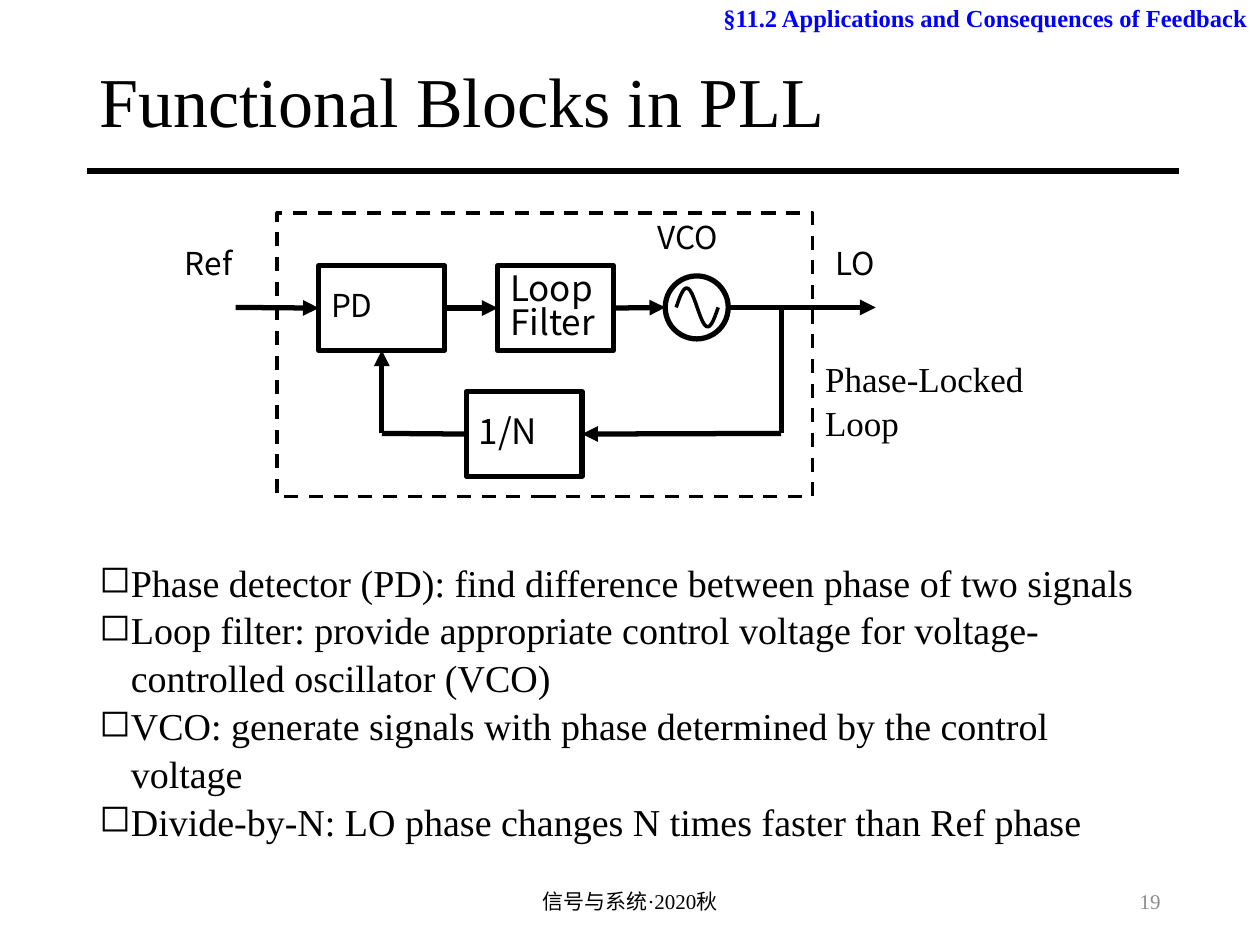
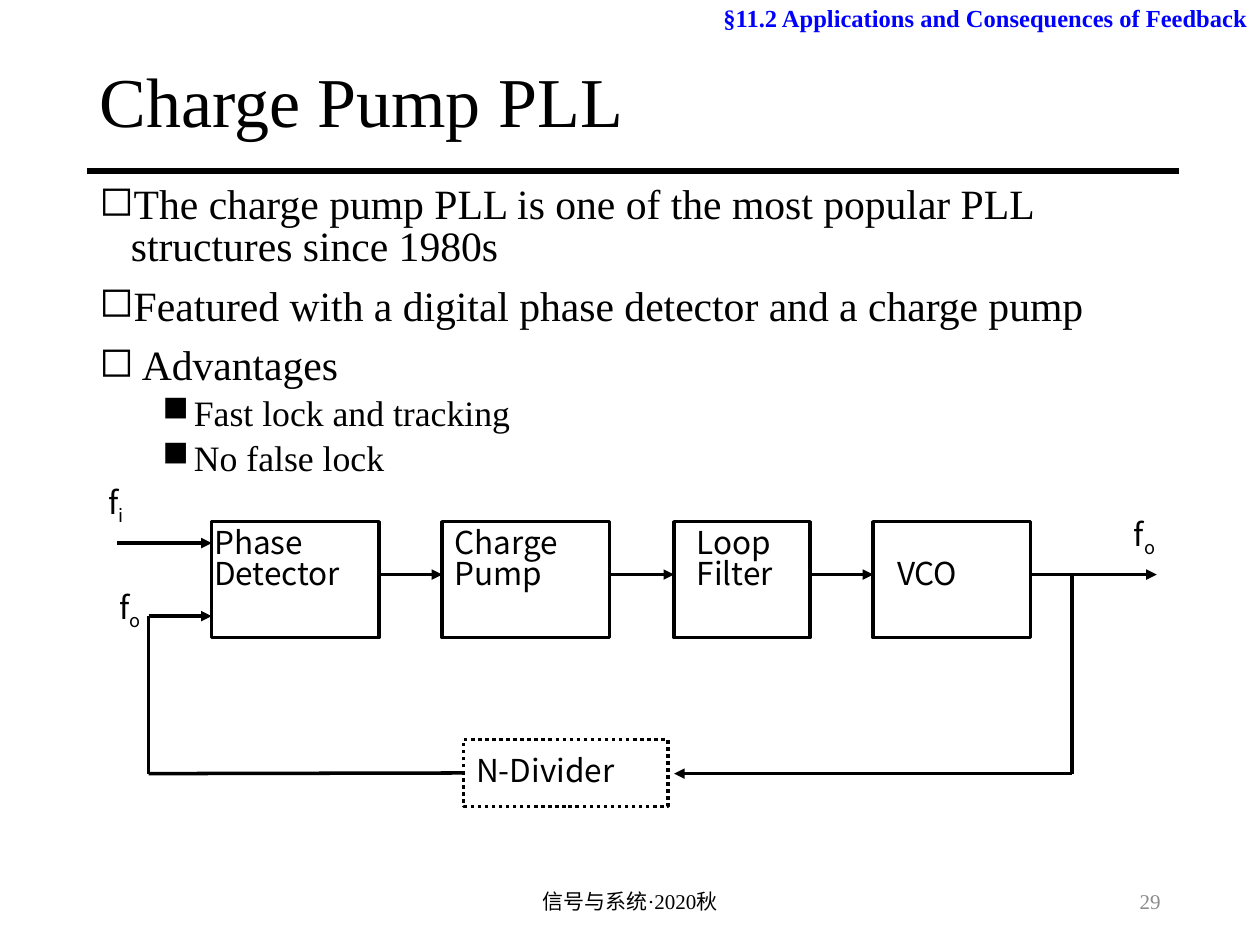
import math

import pptx
import pptx.dml.color
import pptx.enum.dml
import pptx.enum.shapes
import pptx.enum.text
import pptx.util
from lxml import etree
from pptx.oxml.ns import qn

COLOURS = {"ink": "000000", "section": "0000FF", "number": "8C8C8C"}
SERIF, SANS = "Times New Roman", "Noto Sans CJK SC"
CELL = 1 / 12  # grid step in inches
PAGE = (0, 0)
LEFT = 0.69
TOP, RIGHT_SIDE, BOTTOM, LEFT_SIDE = 0, 3, 2, 1
SHAPE = pptx.enum.shapes.MSO_SHAPE
DASH = pptx.enum.dml.MSO_LINE
ALIGN = pptx.enum.text.PP_ALIGN
ANCHOR = pptx.enum.text.MSO_ANCHOR
Inches, Pt = pptx.util.Inches, pptx.util.Pt
rgb = pptx.dml.color.RGBColor.from_string


def box(slide, origin, cells, lines=(), size=18, font=SANS, spacing=0.83, colour="ink",
        align=ALIGN.LEFT, anchor=ANCHOR.TOP, wrap=True, outline=0, kind=SHAPE.RECTANGLE, dash=None):
    """Place text, outlined when a line width is given; cells are column, row, columns, rows."""
    col, row, cols, rows = cells
    place = [Inches(round(v, 2)) for v in (origin[0] + col * CELL, origin[1] + row * CELL,
                                           cols * CELL, rows * CELL)]
    if outline:
        item = slide.shapes.add_shape(kind, *place)
        item.shadow.inherit = False
        item.fill.background()
        item.line.color.rgb = rgb(COLOURS["ink"])
        item.line.width = Pt(outline)
        if dash:
            item.line.dash_style = dash
    else:
        item = slide.shapes.add_textbox(*place)
    frame = item.text_frame
    frame.word_wrap = wrap
    frame.vertical_anchor = anchor
    frame.text = "\n".join(lines)
    for paragraph in frame.paragraphs:
        paragraph.alignment = align
        paragraph.line_spacing = spacing
        paragraph.font.size = Pt(size)
        paragraph.font.name = font
        paragraph.font.color.rgb = rgb(COLOURS[colour])
    return item


def wire(slide, origin, start, end, width, arrow=False, source=None, target=None):
    """Draw a line between two grid points; source and target are (box, side)."""
    ends = [Inches(round(origin[i] + point[i] * CELL, 2)) for point in (start, end) for i in (0, 1)]
    line = slide.shapes.add_connector(pptx.enum.shapes.MSO_CONNECTOR.STRAIGHT, *ends)
    if source:
        line.begin_connect(*source)
    if target:
        line.end_connect(*target)
    line.line.color.rgb = rgb(COLOURS["ink"])
    line.line.width = Pt(width)
    if arrow:
        etree.SubElement(line.line._get_or_add_ln(), qn("a:tailEnd"), type="triangle")
    etree.SubElement(line._element.spPr, qn("a:effectLst"))


deck = pptx.Presentation()
deck.slide_width, deck.slide_height = Inches(10), Inches(7.5)

# Title, rule, section header, bullets and footer of both slides
# Each bullet: level, text
pages = [
    ("Functional Blocks in PLL", "19", 4.37, 28.7, (21.7,), 1.05, (0,), [
        (0, "Phase detector (PD): find difference between phase of two signals"),
        (0, "Loop filter: provide appropriate control voltage for voltage-controlled oscillator (VCO)"),
        (0, "VCO: generate signals with phase determined by the control voltage"),
        (0, "Divide-by-N: LO phase changes N times faster than Ref phase")]),
    ("Charge Pump PLL", "29", 1.43, 28.8, (23.8, 20.4), 0.84, (10, 5), [
        (0, "The charge pump PLL is one of the most popular PLL structures since 1980s"),
        (0, "Featured with a digital phase detector and a charge pump"),
        (0, " Advantages"),
        (1, "Fast lock and tracking"),
        (1, "No false lock")]),
]
slides = []
for heading, number, body_top, body_rows, sizes, spacing, gaps, bullets in pages:
    slide = deck.slides.add_slide(deck.slide_layouts[5])
    slides.append(slide)
    title = slide.shapes.title
    title.left, title.top, title.width, title.height = map(Inches, (LEFT, 0.4, 8.62, 0.87))
    title.text_frame.text = heading
    title.text_frame.vertical_anchor = ANCHOR.MIDDLE
    paragraph = title.text_frame.paragraphs[0]
    paragraph.alignment = ALIGN.LEFT
    paragraph.line_spacing = 0.9
    paragraph.font.size = Pt(40)
    paragraph.font.name = SERIF
    paragraph.font.color.rgb = rgb(COLOURS["ink"])

    wire(slide, (LEFT, 1.36), (0, 0), (104, 0), 3.25)
    section = box(slide, PAGE, (59.5, 0, 60.5, 4), ["§11.2 Applications and Consequences of Feedback"],
                  14, SERIF, 0.9, "section", ALIGN.RIGHT)
    section.text_frame.paragraphs[0].font.bold = True

    body = box(slide, (LEFT, body_top), (0, 0, 103.5, body_rows), [text for _, text in bullets],
               font=SERIF, spacing=spacing)
    for paragraph, (level, _) in zip(body.text_frame.paragraphs, bullets):
        paragraph.level = level
        paragraph.font.size = Pt(sizes[level])
        paragraph.space_before = Pt(gaps[level])
        properties = paragraph._p.get_or_add_pPr()
        properties.set("marL", str(Inches(0.25 + 0.5 * level)))
        properties.set("indent", str(Inches(-0.25)))
        mark = etree.Element(qn("a:buChar"), char="◻■"[level])
        properties.find(qn("a:defRPr")).addprevious(mark)

    box(slide, (0, 6.95), (84.7, 0, 27, 4.8), [number], 12, SERIF, 1, "number",
        ALIGN.RIGHT, ANCHOR.MIDDLE)
    box(slide, (0, 6.95), (39.7, 0, 40.6, 4.8), ["信号与系统·2020秋"], 12, SERIF, 1,
        align=ALIGN.CENTER, anchor=ANCHOR.MIDDLE)

blocks, pump = slides

# Functional blocks: the grid starts at the corner of the dashed frame
loop = (2.2, 1.69)
box(blocks, loop, (0, 0, 51, 27), outline=2, dash=DASH.DASH)
detector, loop_filter, divider = [
    box(blocks, loop, cells, [name], size, anchor=ANCHOR.MIDDLE, outline=3)
    for name, size, cells in [("PD", 18, (4, 5, 12, 8)),
                              ("Loop Filter", 20, (21, 5, 11, 8)),
                              ("1/N", 20, (18, 17, 11, 8))]]

# Oscillator with its sine wave
box(blocks, loop, (37, 6, 6, 6), outline=3, kind=SHAPE.OVAL)
STEPS = 24
wave = [(Inches(loop[0] + (38 + 4 * i / STEPS) * CELL),
         Inches(loop[1] + (9 - 1.85 * math.sin(2 * math.pi * i / STEPS)) * CELL))
        for i in range(STEPS + 1)]
builder = blocks.shapes.build_freeform(*wave[0])
builder.add_line_segments(wave[1:], close=False)
sine = builder.convert_to_shape()
sine.shadow.inherit = False
sine.fill.background()
sine.line.color.rgb = rgb(COLOURS["ink"])
sine.line.width = Pt(2)

# Signal path and feedback path
for start, end, arrow, source, target in [
        ((-4, 9), (4, 9), True, None, (detector, LEFT_SIDE)),
        ((16, 9), (21, 9), True, (detector, RIGHT_SIDE), (loop_filter, LEFT_SIDE)),
        ((32, 9), (37, 9), True, (loop_filter, RIGHT_SIDE), None),
        ((43, 9), (57, 9), True, None, None),
        ((48, 21), (48, 9), False, None, None),
        ((48, 21), (29, 21), True, None, (divider, RIGHT_SIDE)),
        ((10, 21), (18, 21), False, None, (divider, LEFT_SIDE)),
        ((10, 21), (10, 13), True, None, (detector, BOTTOM))]:
    wire(blocks, loop, start, end, 3, arrow, source, target)

for label, cells in [("Ref", (-10, 3, 12, 6)), ("VCO", (35, 0.5, 12, 6)), ("LO", (52, 3, 9, 6))]:
    box(blocks, loop, cells, [label])
box(blocks, loop, (51, 13, 26, 9), ["Phase-Locked Loop"], 20, SERIF, 1.05)

# Charge pump: the grid starts at the corner of the phase detector
chain = (1.68, 4.14)
GAP = 6
col = 0
for lines, cols, inset, drop in [(["Phase", "Detector"], 16, 0.02, 0.06),
                                 (["Charge", "Pump"], 16, 0.1, 0.06),
                                 (["Loop", "Filter"], 13, 0.18, 0.06),
                                 (["VCO"], 15, 0.19, 0.31)]:
    stage = box(pump, chain, (col, 0, cols, 11), lines, outline=2)
    stage.text_frame.margin_left = Inches(inset)
    stage.text_frame.margin_top = Inches(drop)
    col += cols + GAP
    if lines != ["VCO"]:
        wire(pump, chain, (col - GAP, 5), (col, 5), 2, True)
n_divider = box(pump, chain, (24, 20.8, 19.5, 6.4), ["N-Divider"], anchor=ANCHOR.MIDDLE,
                outline=2, dash=DASH.ROUND_DOT)

# Input, output and feedback wires
for start, end, arrow, source in [((-9, 2), (0, 2), True, None),
                                  ((78, 5), (90, 5), True, None),
                                  ((82, 5), (82, 24), False, None),
                                  ((82, 24), (44, 24), True, None),
                                  ((24, 24), (-6, 24), False, (n_divider, LEFT_SIDE)),
                                  ((-6, 24), (-6, 9), False, None),
                                  ((-6, 9), (0, 9), True, None)]:
    wire(pump, chain, start, end, 2, arrow, source)

# Frequency labels with subscripts
for subscript, cells in [("i", (-11, -4, 4, 6)), ("o", (86.6, -1, 5, 6)), ("o", (-10, 6, 5, 6))]:
    frequency = box(pump, chain, cells, ["f"], wrap=False)
    index = frequency.text_frame.paragraphs[0].add_run()
    index.text = subscript
    index._r.get_or_add_rPr().set("baseline", "-25000")

deck.save("out.pptx")
